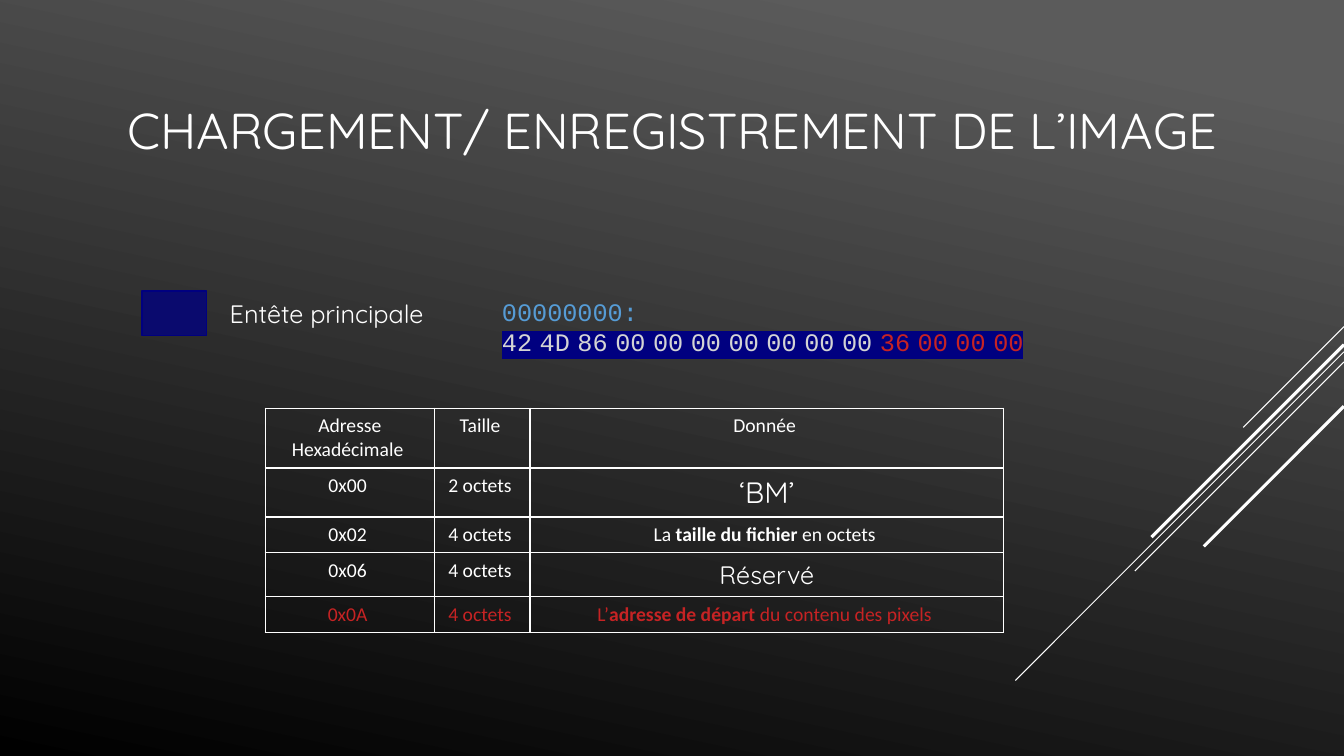
from lxml.etree import SubElement
from pptx import Presentation
from pptx.dml.color import RGBColor as RGB
from pptx.enum.shapes import MSO_CONNECTOR as Conn, MSO_SHAPE as Kind
from pptx.enum.text import MSO_ANCHOR as Anchor, PP_ALIGN as Align
from pptx.oxml import parse_xml
from pptx.oxml.ns import nsdecls, qn
from pptx.util import Pt

HUES = {
    "white": "FFFFFF", "gray": "5B5B5B", "black": "000000", "red": "C62324",
    "blue": "569CD6", "pale": "D4D4D4", "navy": "000080", "box": "0A0A6E",
}
WIDE, HIGH = 960, 540
TITLE = "CHARGEMENT/ ENREGISTREMENT DE L’IMAGE"
LABEL = "Entête principale"
OFFSET = "00000000: "
HEAD = "42 4D 86 00 00 00 00 00 00 00".split()
START = "36 00 00 00".split()
THIN, HARD = chr(0x202F), chr(0xA0)

ROWS = [
    ("Adresse Hexadécimale", "Taille", "Donnée"),
    ("0x00", "2 octets", "‘BM’"),
    ("0x02", "4 octets", "La *taille du fichier* en octets"),
    ("0x06", "4 octets", "Réservé"),
    ("0x0A", "4 octets", "L’*adresse de départ* du contenu des pixels"),
]
LARGE = {"‘BM’": 21, "Réservé": 18}
COLS = [121, 68.2, 338.4]
TALL = [42, 32.4, 25.2, 30.2, 25.2]
RAYS = [(233.3, 72, 0.75), (251.3, 234.7, 0.75), (258.5, 149.4, 0.75),
        (246.2, 137.5, 2.25), (290.2, 100.1, 2.25)]


def hue(name):
    return RGB.from_string(HUES[name])


def style(font, face, size, name):
    font.name, font.size = face, Pt(size)
    font.color.rgb = hue(name)


def add_text(box, text, face, size, wrap=True):
    area = slide.shapes.add_textbox(*map(Pt, box)).text_frame
    area.word_wrap = wrap
    para = area.paragraphs[0]
    para.add_run().text = text
    style(para.font, face, size, "white")
    return area


def add_border(cell):
    props = cell._tc.get_or_add_tcPr()
    for i, side in enumerate(("lnL", "lnR", "lnT", "lnB")):
        props.insert(i, parse_xml(
            f'<a:{side} {nsdecls("a")} w="12700"><a:solidFill>'
            f'<a:srgbClr val="{HUES["white"]}"/></a:solidFill></a:{side}>'))


def fill_cell(cell, text, name):
    cell.fill.background()
    cell.margin_left = cell.margin_right = Pt(8.64)
    cell.margin_top = cell.margin_bottom = Pt(4.32)
    para = cell.text_frame.paragraphs[0]
    para.alignment = Align.CENTER
    face = "Quicksand" if text in LARGE else "Calibri"
    style(para.font, face, LARGE.get(text, 14), name)
    tail = "" if text in LARGE else HARD
    for i, part in enumerate((text + tail).split("*")):
        run = para.add_run()
        run.text = part
        if i % 2:
            run.font.bold = True
    add_border(cell)


def add_code(para, text, name, mark=None):
    run = para.add_run()
    run.text = text
    run.font.color.rgb = hue(name)
    if mark:
        props = run._r.get_or_add_rPr()
        light = SubElement(props, qn("a:highlight"))
        SubElement(light, qn("a:srgbClr"), val=HUES[mark])


deck = Presentation()
deck.slide_width, deck.slide_height = Pt(WIDE), Pt(HIGH)
slide = deck.slides.add_slide(deck.slide_layouts[6])

back = slide.background.fill
back.gradient()
back.gradient_angle = 258
for stop, name, spot in zip(back.gradient_stops, ("gray", "black"), (0.1, 1)):
    stop.color.rgb, stop.position = hue(name), spot

for top, span, thick in RAYS:
    ray = slide.shapes.add_connector(
        Conn.STRAIGHT, Pt(WIDE), Pt(top), Pt(WIDE - span), Pt(top + span))
    ray.line.color.rgb, ray.line.width = hue("white"), Pt(thick)
    SubElement(ray._element.spPr, qn("a:effectLst"))

grid = slide.shapes.add_table(
    len(ROWS), len(COLS), Pt(189.4), Pt(291.6), Pt(sum(COLS)), Pt(sum(TALL))).table
grid.first_row = grid.horz_banding = False
for col, wide in zip(grid.columns, COLS):
    col.width = Pt(wide)
for r, (row, tall) in enumerate(zip(ROWS, TALL)):
    grid.rows[r].height = Pt(tall)
    for c, text in enumerate(row):
        fill_cell(grid.cell(r, c), text, "red" if row is ROWS[-1] else "white")

add_text((157, 209.5, 165, 28.8), LABEL, "Quicksand", 18, False)

code = add_text((351.4, 208.1, 481, 28.8), "", "Courier New", 18).paragraphs[0]
code.clear()
add_code(code, OFFSET, "blue")
add_code(code, THIN.join(HEAD) + THIN, "pale", "navy")
add_code(code, THIN.join(START), "red", "navy")

key = slide.shapes.add_shape(Kind.RECTANGLE, Pt(101.5), Pt(208.1), Pt(46.1), Pt(31.7))
key.shadow.inherit = False
key.fill.solid()
key.fill.fore_color.rgb = hue("box")
key.line.color.rgb, key.line.width = hue("navy"), Pt(1.25)

title = add_text((0, 33.1, WIDE, 118.8), TITLE, "Quicksand", 36)
title.vertical_anchor = Anchor.MIDDLE
title.paragraphs[0].alignment = Align.CENTER

deck.save("out.pptx")
